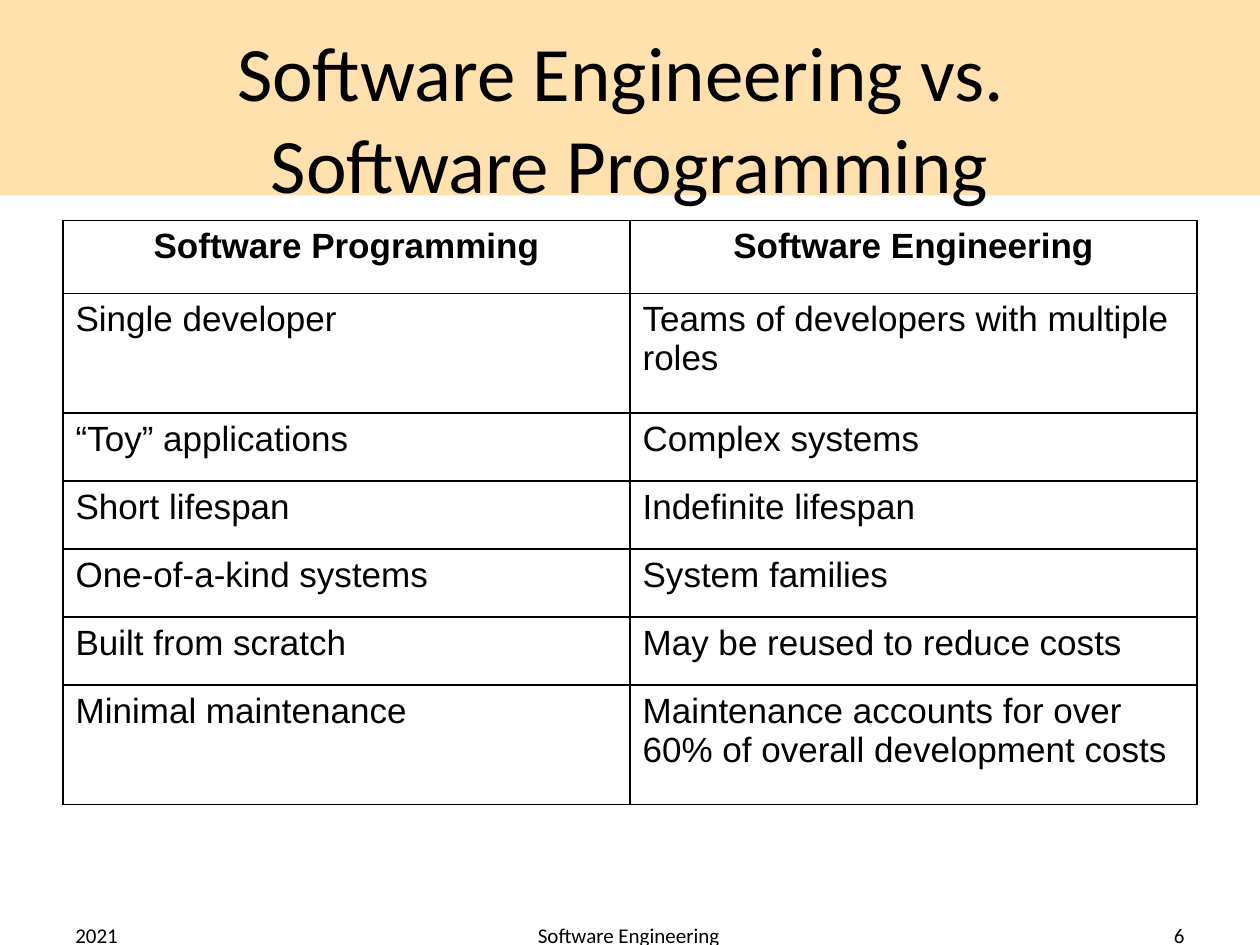
from lxml import etree
from pptx import Presentation
from pptx.dml.color import RGBColor
from pptx.enum.shapes import MSO_SHAPE
from pptx.enum.text import MSO_ANCHOR, PP_ALIGN
from pptx.oxml.ns import qn
from pptx.util import Cm, Pt

RECT = MSO_SHAPE.RECTANGLE
MIDDLE = MSO_ANCHOR.MIDDLE
LEFT, CENTER, RIGHT = PP_ALIGN.LEFT, PP_ALIGN.CENTER, PP_ALIGN.RIGHT
BLACK, SAND = "000000", "FFE1AD"
ROWS = [
    ("Software Programming", "Software Engineering"),
    ("Single developer", "Teams of developers with multiple roles"),
    ("“Toy” applications", "Complex systems"),
    ("Short lifespan", "Indefinite lifespan"),
    ("One-of-a-kind systems", "System families"),
    ("Built from scratch", "May be reused to reduce costs"),
    ("Minimal maintenance",
     "Maintenance accounts for over 60% of overall development costs"),
]
HEAD, TALL, LOW = 1.47, 2.41, 1.37
HEIGHTS = [HEAD, TALL, LOW, LOW, LOW, LOW, TALL]


def color(code):
    """Turn a hex string into a colour."""
    return RGBColor.from_string(code)


def write(frame, text, size=12, face="Calibri", bold=False, align=LEFT):
    """Fill a text frame with one formatted paragraph."""
    frame.word_wrap = True
    para = frame.paragraphs[0]
    para.text = text
    para.alignment = align
    for run in para.runs:
        font = run.font
        font.size, font.name, font.bold = Pt(size), face, bold
        font.color.rgb = color(BLACK)


def label(slide, box, text, **style):
    """Add a vertically centred text box."""
    frame = slide.shapes.add_textbox(*map(Cm, box)).text_frame
    frame.vertical_anchor = MIDDLE
    write(frame, text, **style)


def border(cell):
    """Draw a thin black line on each side of a cell."""
    props = cell._tc.get_or_add_tcPr()
    for place, side in enumerate(("a:lnL", "a:lnR", "a:lnT", "a:lnB")):
        line = etree.Element(qn(side), w=str(Pt(1)))
        fill = etree.SubElement(line, qn("a:solidFill"))
        etree.SubElement(fill, qn("a:srgbClr"), val=BLACK)
        props.insert(place, line)


def header(slide, left, top, width, height):
    """Place the sand band and the title on it."""
    band = slide.shapes.add_shape(RECT, *map(Cm, (left, top, width, height)))
    band.shadow.inherit = False
    band.fill.solid()
    band.fill.fore_color.rgb = color(SAND)
    band.line.fill.background()
    box = (left + 1.27, top + 0.76, width - 2.54, height - 0.76)
    label(slide, box, "Software Engineering vs. \nSoftware Programming",
          size=44, align=CENTER)


def grid(slide, left, top, width):
    """Place the table that compares the two fields."""
    box = map(Cm, (left, top, width, sum(HEIGHTS)))
    table = slide.shapes.add_table(len(ROWS), 2, *box).table
    table.first_row = table.horz_banding = False
    for row, height, texts in zip(table.rows, HEIGHTS, ROWS):
        row.height = Cm(height)
        head = texts == ROWS[0]
        for cell, text in zip(row.cells, texts):
            cell.fill.background()
            border(cell)
            write(cell.text_frame, text, size=20, face="Arial", bold=head,
                  align=CENTER if head else LEFT)


def footer(slide, left, top, width, height):
    """Place the year, the course name and the page number."""
    side, mid = 5.93, 11.63
    label(slide, (left, top, side, height), "2021")
    label(slide, (left + 5.59, top, mid, height), "Software Engineering",
          align=CENTER)
    label(slide, (left + width - side, top, side, height), "6", align=RIGHT)


def main():
    """Build and save the slide."""
    deck = Presentation()
    deck.slide_width, deck.slide_height = Cm(25.4), Cm(19.05)
    slide = deck.slides.add_slide(deck.slide_layouts[6])
    header(slide, 0, 0, 25.4, 3.94)
    footer(slide, 1.27, 18.34, 22.86, 1.02)
    grid(slide, 1.27, 4.45, 22.86)
    deck.save("out.pptx")


if __name__ == "__main__":
    main()
